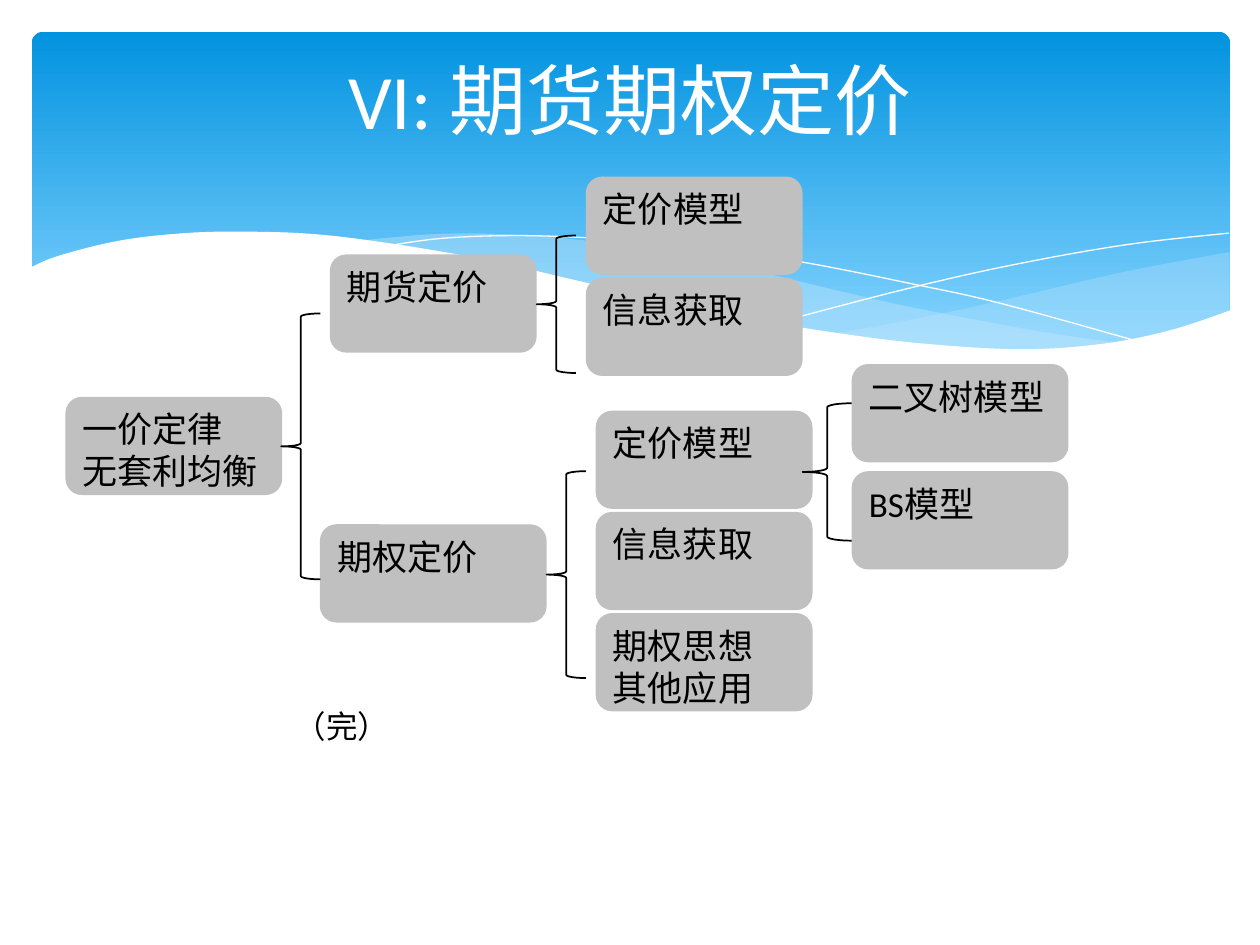
from lxml.etree import SubElement
from pptx import Presentation
from pptx.dml.color import RGBColor
from pptx.enum.shapes import MSO_SHAPE as Shape
from pptx.enum.text import MSO_ANCHOR as Anchor, PP_ALIGN as Align
from pptx.oxml.ns import qn
from pptx.util import Cm, Pt

BLACK, WHITE, GREY, PALE = "000000", "FFFFFF", "C0C0C0", "C6E7FC"
BOX_HEIGHT = 1.98

RIGHT_WAVE_TOP = [(24.79, 5.08), (23.01, 5.41), (21.87, 5.66), (19.79, 6.15),
                  (17.93, 6.53), (16.79, 6.73)]
RIGHT_WAVE_BOTTOM = [(16.79, 6.73), (17.91, 6.88), (19.23, 7.01), (20.68, 7.06),
                     (21.92, 6.99), (22.99, 6.83), (23.93, 6.58), (24.79, 6.27)]
MIDDLE_WAVE_TOP = [(7.26, 4.85), (8.74, 4.72), (10.13, 4.72), (11.81, 4.85),
                   (13.41, 5.08), (14.83, 5.36), (15.98, 5.64), (17.93, 6.1),
                   (19.69, 6.45), (21.26, 6.73), (22.68, 6.93)]
MIDDLE_WAVE_BOTTOM = [(22.68, 6.93), (21.54, 7.04), (20.22, 7.06), (18.69, 6.99),
                      (16.89, 6.76), (14.83, 6.4), (12.47, 5.89), (11.4, 5.64),
                      (9.73, 5.26), (8.2, 4.98), (7.26, 4.85)]
FALLING_LINE = [(7.85, 4.95), (8.97, 4.8), (10.57, 4.75), (12.42, 4.83), (14.12, 5),
                (16.15, 5.28), (18.47, 5.74), (20.19, 6.12), (23.04, 6.91)]
RISING_LINE = [(15.57, 6.53), (18.29, 5.82), (20.47, 5.33), (22.73, 4.93), (24.77, 4.7)]
WHITE_WAVE = [(0.58, 5.41), (1.17, 5.16), (2.41, 4.85), (3.71, 4.7), (4.9, 4.67),
              (6.35, 4.72), (8.03, 4.93), (9.93, 5.26), (11.35, 5.59), (12.78, 5.92),
              (14.71, 6.35), (16.46, 6.65), (18.44, 6.91), (20.55, 7.04),
              (22.23, 6.93), (23.62, 6.65), (24.82, 6.25)]
WHITE_WAVE_BASE = [(24.82, 8.36), (0.58, 8.36)]


def color(value):
    return RGBColor.from_string(value)


def smooth(points, steps=6):
    """Return points along a Catmull-Rom curve through the given points."""
    padded = [points[0], *points, points[-1]]
    curve = [points[0]]
    for a, b, c, d in zip(padded, padded[1:], padded[2:], padded[3:]):
        for step in range(1, steps + 1):
            t = step / steps
            curve.append(tuple(
                q + t / 2 * (r - p + t * (2 * p - 5 * q + 4 * r - s
                                          + t * (3 * q - p - 3 * r + s)))
                for p, q, r, s in zip(a, b, c, d)))
    return curve


def add_outline(slide, points, closed):
    start, *rest = [(Cm(x), Cm(y)) for x, y in points]
    builder = slide.shapes.build_freeform(*start)
    builder.add_line_segments(rest, close=closed)
    shape = builder.convert_to_shape()
    shape.shadow.inherit = False
    return shape


def add_wave(slide, points, fill, opacity=100):
    shape = add_outline(slide, points, True)
    shape.line.fill.background()
    shape.fill.solid()
    shape.fill.fore_color.rgb = color(fill)
    if opacity < 100:
        tone = shape.fill._xPr.find(".//" + qn("a:srgbClr"))
        SubElement(tone, qn("a:alpha"), val=str(opacity * 1000))


def add_hairline(slide, points):
    shape = add_outline(slide, smooth(points), False)
    shape.fill.background()
    shape.line.color.rgb = color(WHITE)
    shape.line.width = Pt(0)


def add_preset(slide, kind, left, top, width, height, adjustment):
    shape = slide.shapes.add_shape(kind, Cm(left), Cm(top), Cm(width), Cm(height))
    shape.shadow.inherit = False
    shape.adjustments[0] = adjustment
    return shape


def add_banner(slide):
    shape = add_preset(slide, Shape.ROUNDED_RECTANGLE, 0.64, 0.64, 24.16, 6.86, 0.034)
    shape.line.fill.background()
    shape.fill.gradient()
    shape.fill.gradient_angle = 270
    stops = zip(shape.fill.gradient_stops, ("0293E0", "83D3FE"), (0, 0.9))
    for stop, tone, position in stops:
        stop.color.rgb = color(tone)
        stop.position = position


def write(shape, lines, size, tone=BLACK, align=Align.LEFT, wrap=False):
    frame = shape.text_frame
    frame.word_wrap = wrap
    frame.vertical_anchor = Anchor.TOP
    for index, line in enumerate(lines):
        paragraph = frame.add_paragraph() if index else frame.paragraphs[0]
        paragraph.alignment = align
        run = paragraph.add_run()
        run.text = line
        run.font.name = "Calibri"
        run.font.size = Pt(size)
        run.font.color.rgb = color(tone)


def add_box(slide, left, top, width, *lines):
    shape = add_preset(slide, Shape.ROUNDED_RECTANGLE, left, top, width, BOX_HEIGHT, 0.167)
    shape.fill.solid()
    shape.fill.fore_color.rgb = color(GREY)
    shape.line.fill.background()
    write(shape, lines, 20)


def add_column(slide, left, top, pitch, entries):
    for row, lines in enumerate(entries):
        add_box(slide, left, top + row * pitch, 4.37, *lines)


def add_brace(slide, left, top, width, height):
    shape = add_preset(slide, Shape.LEFT_BRACE, left, top, width, height, 0.083)
    shape.fill.background()
    shape.line.color.rgb = color(BLACK)
    shape.line.width = Pt(1)


def add_label(slide, left, top, width, height, text, size, **style):
    shape = slide.shapes.add_textbox(Cm(left), Cm(top), Cm(width), Cm(height))
    write(shape, [text], size, wrap=True, **style)


def main():
    presentation = Presentation()
    presentation.slide_width, presentation.slide_height = Cm(25.4), Cm(19.05)
    slide = presentation.slides.add_slide(presentation.slide_layouts[6])

    add_banner(slide)
    add_wave(slide, smooth(RIGHT_WAVE_TOP) + smooth(RIGHT_WAVE_BOTTOM), PALE, 29)
    add_wave(slide, smooth(MIDDLE_WAVE_TOP) + smooth(MIDDLE_WAVE_BOTTOM), PALE, 40)
    add_hairline(slide, FALLING_LINE)
    add_hairline(slide, RISING_LINE)
    add_wave(slide, smooth(WHITE_WAVE) + WHITE_WAVE_BASE, WHITE)
    add_label(slide, 1.27, 0.94, 22.86, 3.48, "VI: 期货期权定价", 44,
              tone=WHITE, align=Align.CENTER)

    add_box(slide, 1.32, 8, 4.37, "一价定律", "无套利均衡")
    add_box(slide, 6.65, 5.13, 4.17, "期货定价")
    add_box(slide, 6.45, 10.57, 4.57, "期权定价")
    add_column(slide, 11.81, 3.56, 2.04, [["定价模型"], ["信息获取"]])
    add_column(slide, 12.01, 8.28, 2.04,
               [["定价模型"], ["信息获取"], ["期权思想", "其他应用"]])
    add_column(slide, 17.17, 7.34, 2.16, [["二叉树模型"], ["BS模型"]])

    add_brace(slide, 5.67, 6.32, 0.79, 5.36)
    add_brace(slide, 10.82, 4.75, 0.79, 2.77)
    add_brace(slide, 11.02, 9.5, 0.79, 4.17)
    add_brace(slide, 16.18, 8.13, 0.99, 2.77)
    add_label(slide, 5.69, 14.12, 2.41, 1.02, "（完）", 18)
    presentation.save("out.pptx")


if __name__ == "__main__":
    main()
